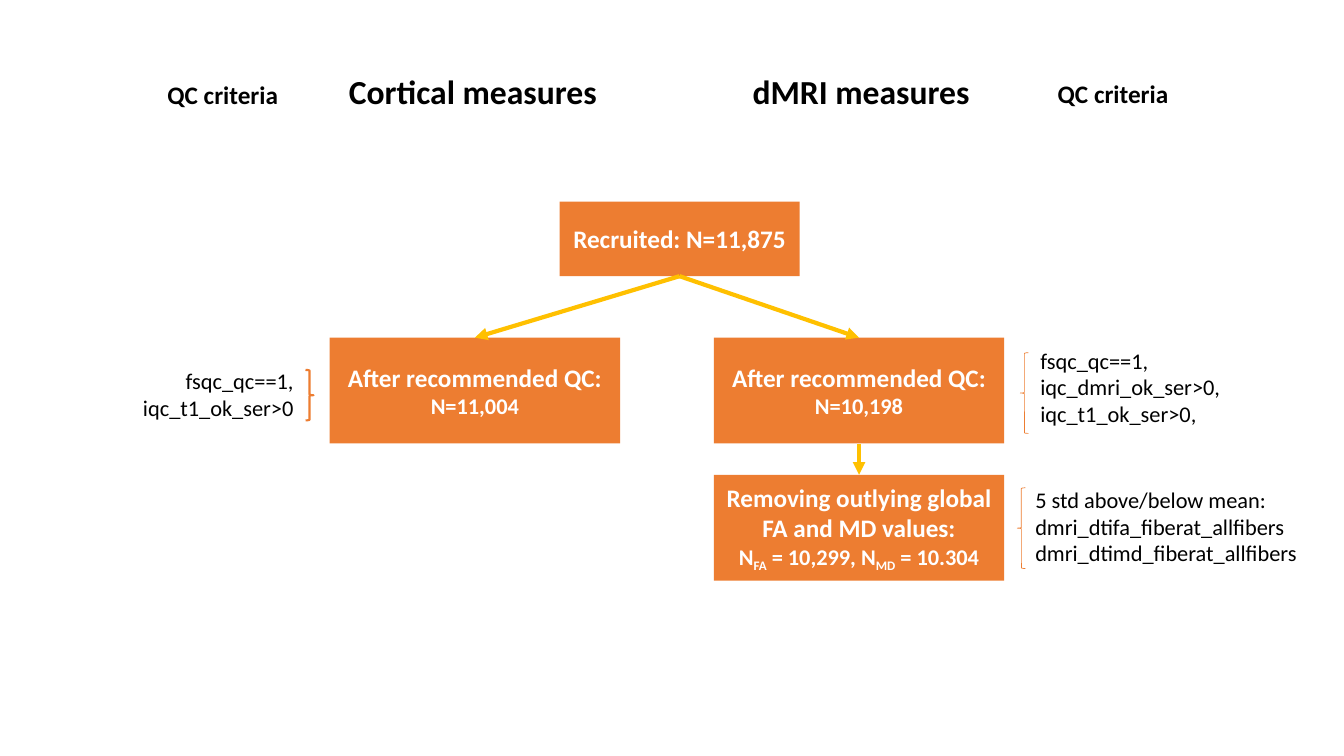
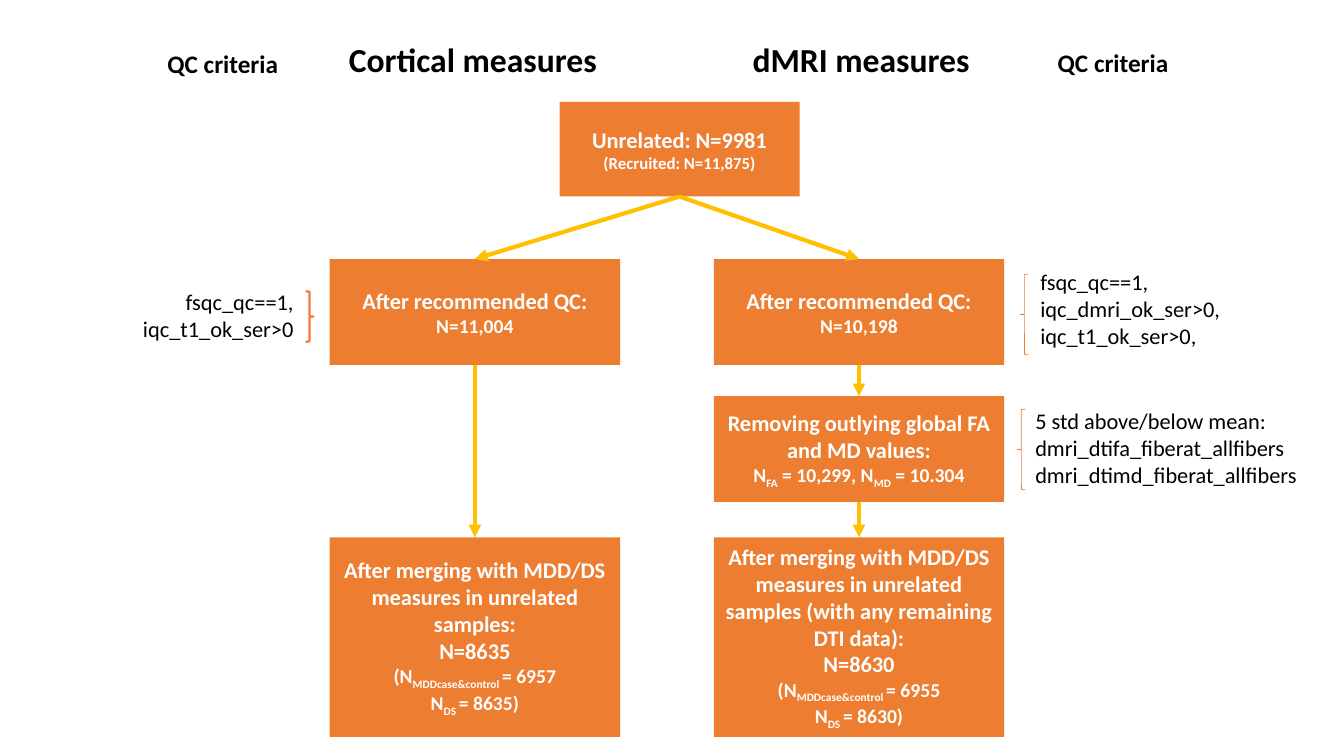
from lxml import etree
from pptx import Presentation
from pptx.dml.color import RGBColor
from pptx.enum.shapes import MSO_CONNECTOR, MSO_SHAPE
from pptx.enum.text import MSO_ANCHOR, PP_ALIGN
from pptx.oxml.ns import qn
from pptx.util import Inches, Pt

ORANGE = RGBColor(0xED, 0x7D, 0x31)
GOLD = RGBColor(0xFF, 0xC0, 0x00)
WHITE = RGBColor(0xFF, 0xFF, 0xFF)
BLACK = RGBColor(0x00, 0x00, 0x00)
FONT = "Calibri"
LEFT, CENTER, RIGHT = PP_ALIGN.LEFT, PP_ALIGN.CENTER, PP_ALIGN.RIGHT

# Box columns: left edge and width
CORTICAL, DMRI, TOP = (3.27, 2.88), (7.08, 2.88), (5.55, 2.38)

prs = Presentation()
prs.slide_width, prs.slide_height = Inches(13.33), Inches(7.5)


def write(shape, lines, align, color, bold):
    """Fill a shape with (text, size) lines; ~ marks the start and end of a subscript."""
    tf = shape.text_frame
    for i, (text, size) in enumerate(lines):
        p = tf.paragraphs[0] if i == 0 else tf.add_paragraph()
        p.alignment = align
        for j, part in enumerate(text.split("~")):
            r = p.add_run()
            r.text = part
            r.font.name, r.font.size, r.font.bold = FONT, Pt(size), bold
            r.font.color.rgb = color
            if j % 2:
                r._r.get_or_add_rPr().set("baseline", "-25000")


def add_label(s, x, y, w, h, lines, align, bold=False, wrap=False):
    label = s.shapes.add_textbox(Inches(x), Inches(y), Inches(w), Inches(h))
    label.text_frame.word_wrap = wrap
    write(label, lines, align, BLACK, bold)


# Column headings: text, left, offset from heading line, width, height, size
headings = [
    ("Cortical measures", 2.77, 0, 3.84, 0.5, 24),
    ("dMRI measures", 6.62, 0, 3.84, 0.5, 24),
    ("QC criteria", 1.29, 0.09, 1.84, 0.4, 18),
    ("QC criteria", 10.12, 0.08, 1.84, 0.4, 18),
]

# Criteria, offsets from the QC row: lines, left, top, width, height, alignment
criteria = [
    (["fsqc_qc==1,", "iqc_t1_ok_ser>0"], 1.29, 0.24, 1.72, 0.91, RIGHT),
    (["fsqc_qc==1, ", "iqc_dmri_ok_ser>0, ", "iqc_t1_ok_ser>0,"],
     10.22, 0.04, 2.06, 1.18, LEFT),
    (["5 std above/below mean:", "dmri_dtifa_fiberat_allfibers",
      "dmri_dtimd_fiberat_allfibers"], 10.17, 1.42, 2.83, 0.91, LEFT),
]

# Braces, offsets from the QC row: left, top, height, rotation, line width
braces = [
    (3.03, 0.32, 0.5, 180, 1.5),
    (10.12, 0.15, 0.8, 0, 0.5),
    (10.09, 1.49, 0.8, 0, 0.5),
]

# Merged samples, second slide only: name, column, heading, N, cases, DS
merged = [
    ("cortical_merged", CORTICAL,
     "After merging with MDD/DS measures in unrelated samples:", 8635, 6957),
    ("dmri_merged", DMRI,
     "After merging with MDD/DS measures in unrelated samples "
     "(with any remaining DTI data):", 8630, 6955),
]

# Slides: heading top, QC row top, first box (top, height, lines), box text sizes
flows = [
    (0.65, 3.35, (2, 0.74, [("Recruited: N=11,875", 18)]), 18, 16, False),
    (0.34, 2.57, (1.01, 0.94, [("Unrelated: N=9981", 16),
                               ("(Recruited: N=11,875)", 12)]), 16, 14, True),
]

for heading_y, row_y, (top_y, top_h, top_lines), big, small, has_merged in flows:
    s = prs.slides.add_slide(prs.slide_layouts[6])

    # Headings, criteria and braces
    for text, x, dy, w, h, size in headings:
        add_label(s, x, heading_y + dy, w, h, [(text, size)], CENTER, True, True)
    for lines, x, dy, w, h, align in criteria:
        add_label(s, x, row_y + dy, w, h, [(line, 16) for line in lines], align)
    for x, dy, h, rotation, weight in braces:
        brace = s.shapes.add_shape(MSO_SHAPE.LEFT_BRACE, Inches(x),
                                   Inches(row_y + dy), Inches(0.08), Inches(h))
        brace.shadow.inherit = False
        brace.rotation = rotation
        brace.fill.background()
        brace.line.color.rgb, brace.line.width = ORANGE, Pt(weight)

    # Flow boxes and the arrows between them
    boxes = [
        ("top", TOP, top_y, top_h, top_lines),
        ("cortical_qc", CORTICAL, row_y, 1.05,
         [("After recommended QC:", big), ("N=11,004", small)]),
        ("dmri_qc", DMRI, row_y, 1.05,
         [("After recommended QC:", big), ("N=10,198", small)]),
        ("outliers", DMRI, row_y + 1.36, 1.05,
         [("Removing outlying global FA and MD values:", big),
          ("N~FA~ = 10,299, N~MD~ = 10.304", small)]),
    ]
    arrows = [("top", "cortical_qc"), ("top", "dmri_qc"), ("dmri_qc", "outliers")]
    if has_merged:
        for name, column, title, n, cases in merged:
            boxes.append((name, column, 5.33, 1.98, [
                (title, big), (f"N={n}", big),
                (f"(N~MDDcase&control ~= {cases}", small),
                (f"N~DS ~= {n})", small)]))
        arrows += [("cortical_qc", "cortical_merged"), ("outliers", "dmri_merged")]

    placed = {}
    for name, (x, w), y, h, lines in boxes:
        box = s.shapes.add_shape(MSO_SHAPE.RECTANGLE, Inches(x), Inches(y),
                                 Inches(w), Inches(h))
        box.shadow.inherit = False
        box.fill.solid()
        box.fill.fore_color.rgb = ORANGE
        box.line.fill.background()
        box.text_frame.word_wrap = True
        box.text_frame.vertical_anchor = MSO_ANCHOR.MIDDLE
        write(box, lines, CENTER, WHITE, True)
        placed[name] = box

    for start, end in arrows:
        arrow = s.shapes.add_connector(MSO_CONNECTOR.STRAIGHT, 0, 0, 0, 0)
        arrow.begin_connect(placed[start], 2)
        arrow.end_connect(placed[end], 0)
        arrow.line.color.rgb, arrow.line.width = GOLD, Pt(3)
        etree.SubElement(arrow.line._get_or_add_ln(), qn("a:tailEnd"), type="triangle")
        etree.SubElement(arrow._element.spPr, qn("a:effectLst"))

prs.save("out.pptx")
